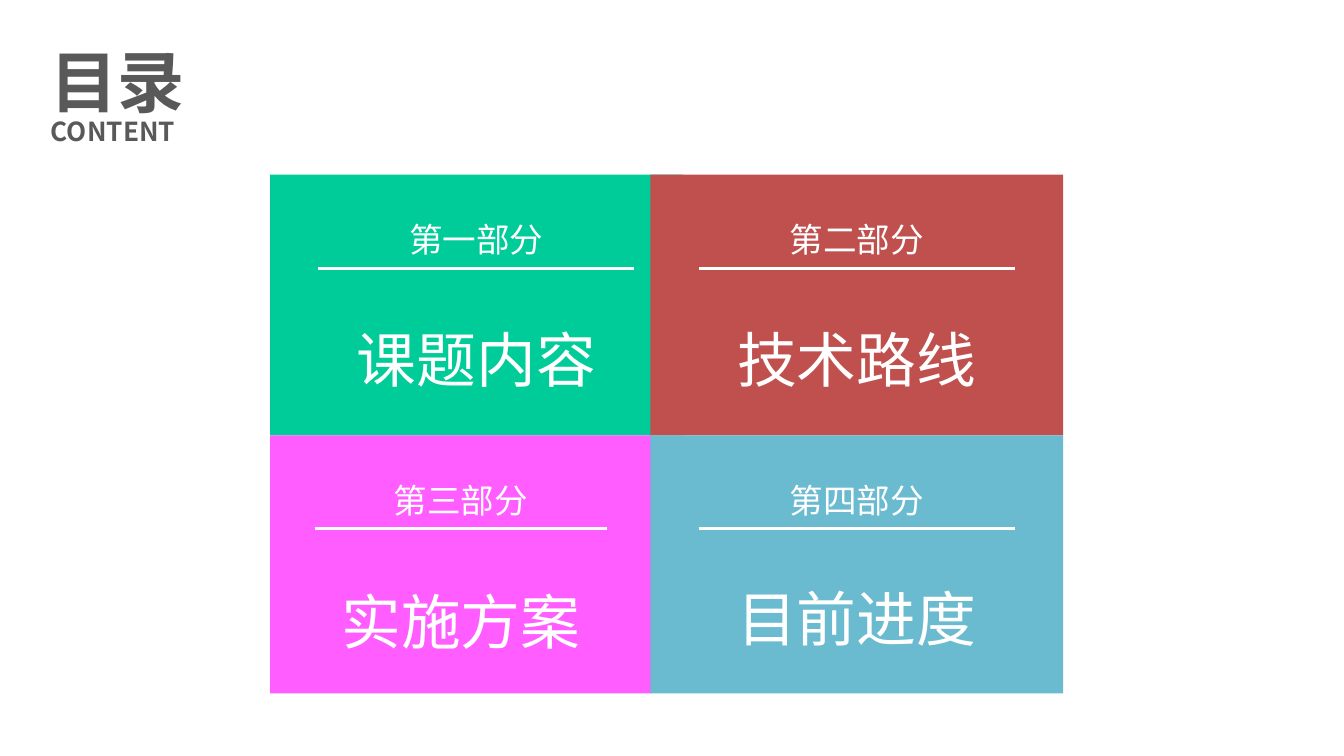
from lxml import etree
from pptx import Presentation
from pptx.dml.color import RGBColor
from pptx.enum.shapes import MSO_CONNECTOR, MSO_SHAPE
from pptx.enum.text import MSO_ANCHOR, PP_ALIGN
from pptx.oxml.ns import qn
from pptx.util import Inches, Pt

RECTANGLE, STRAIGHT = MSO_SHAPE.RECTANGLE, MSO_CONNECTOR.STRAIGHT
TOP = MSO_ANCHOR.TOP
LEFT, CENTER = PP_ALIGN.LEFT, PP_ALIGN.CENTER

THEME = {
    "font": "Noto Sans CJK SC", "ink": "595959", "light": "FFFFFF",
    "heading": 36, "subheading": 14, "title": 32, "label": 18, "rule": 1.5,
}
HEADING = [("目录", THEME["heading"]), ("CONTENT", THEME["subheading"])]

# column, row, share of the full card width, fill, label, title, title drop, filled text
CARDS = [
    (0, 0, 1, "00CC99", "第一部分", "课题内容", 1.05, False),
    (1, 0, 1, "C0504D", "第二部分", "技术路线", 1.05, False),
    (0, 1, 0.925, "FF5DFF", "第三部分", "实施方案", 1.06, True),
    (1, 1, 1, "6ABAD0", "第四部分", "目前进度", 1.04, False),
]
COLUMNS = (2.01, 4.84)
ROWS = ((1.3, 1.94), (3.24, 1.92))
CARD_WIDTH = 3.07
RULE_WIDTH, TITLE_WIDTH, LABEL_WIDTH = 2.35, 2.44, 1.7
RULE_DROP, LABEL_DROP = 0.7, 0.28
INSET = (0.1, 0.05)


def color(value):
    """Turn a hex string into a colour."""
    return RGBColor.from_string(value)


def add_box(shapes, left, top, width, height, fill):
    """Add a plain filled rectangle."""
    box = shapes.add_shape(RECTANGLE, *map(Inches, (left, top, width, height)))
    box.shadow.inherit = False
    box.fill.solid()
    box.fill.fore_color.rgb = color(fill)
    box.line.fill.background()
    return box


def write(box, lines, ink, align=CENTER, bold=False, spacing=1.0):
    """Write (text, size) lines into a box."""
    frame = box.text_frame
    side, edge = map(Inches, INSET)
    frame_format = {"word_wrap": True, "vertical_anchor": TOP, "margin_left": side,
                    "margin_right": side, "margin_top": edge, "margin_bottom": edge}
    for name, value in frame_format.items():
        setattr(frame, name, value)
    for index, (text, size) in enumerate(lines):
        para = frame.add_paragraph() if index else frame.paragraphs[0]
        para.alignment, para.line_spacing = align, spacing
        span = para.add_run()
        span.text = text
        for name, value in {"name": THEME["font"], "size": Pt(size), "bold": bold}.items():
            setattr(span.font, name, value)
        span.font.color.rgb = color(ink)
        properties = span.font._element
        etree.SubElement(properties, qn("a:ea")).set("typeface", THEME["font"])


def add_rule(shapes, left, top, width):
    """Add a horizontal light line."""
    rule = shapes.add_connector(STRAIGHT, *map(Inches, (left, top, left + width, top)))
    rule.line.color.rgb = color(THEME["light"])
    rule.line.width = Pt(THEME["rule"])
    etree.SubElement(rule._element.spPr, qn("a:effectLst"))


def add_card(page, column, row, share, fill, label, title, title_drop, filled):
    """Add one grouped card with its label, rule and title."""
    shapes = page.shapes.add_group_shape().shapes
    left, (top, height) = COLUMNS[column], ROWS[row]
    width = CARD_WIDTH * share
    middle = left + width / 2
    add_box(shapes, left, top, width, height, fill)
    rule_width = RULE_WIDTH * share
    add_rule(shapes, middle - rule_width / 2, top + RULE_DROP - 0.01 * row, rule_width)
    texts = [
        (title, THEME["title"], TITLE_WIDTH, title_drop, 0.64 if row else 0.48),
        (label, THEME["label"], LABEL_WIDTH, LABEL_DROP, 0.3),
    ]
    for text, size, full_width, drop, text_height in texts:
        text_width = full_width * share
        place = (middle - text_width / 2, top + drop, text_width, text_height)
        if filled:
            box = add_box(shapes, *place, fill)
        else:
            box = shapes.add_textbox(*map(Inches, place))
        write(box, [(text, size)], THEME["light"])


def build():
    """Build and save the contents slide."""
    deck = Presentation()
    deck.slide_width = Inches(10)
    deck.slide_height = deck.slide_width * 9 // 16
    page = deck.slides.add_slide(deck.slide_layouts[6])
    heading = page.shapes.add_textbox(*map(Inches, (0.28, 0.35, 2.76, 0.94)))
    write(heading, HEADING, THEME["ink"], LEFT, True, 0.83)
    for card in CARDS:
        add_card(page, *card)
    deck.save("out.pptx")


build()
